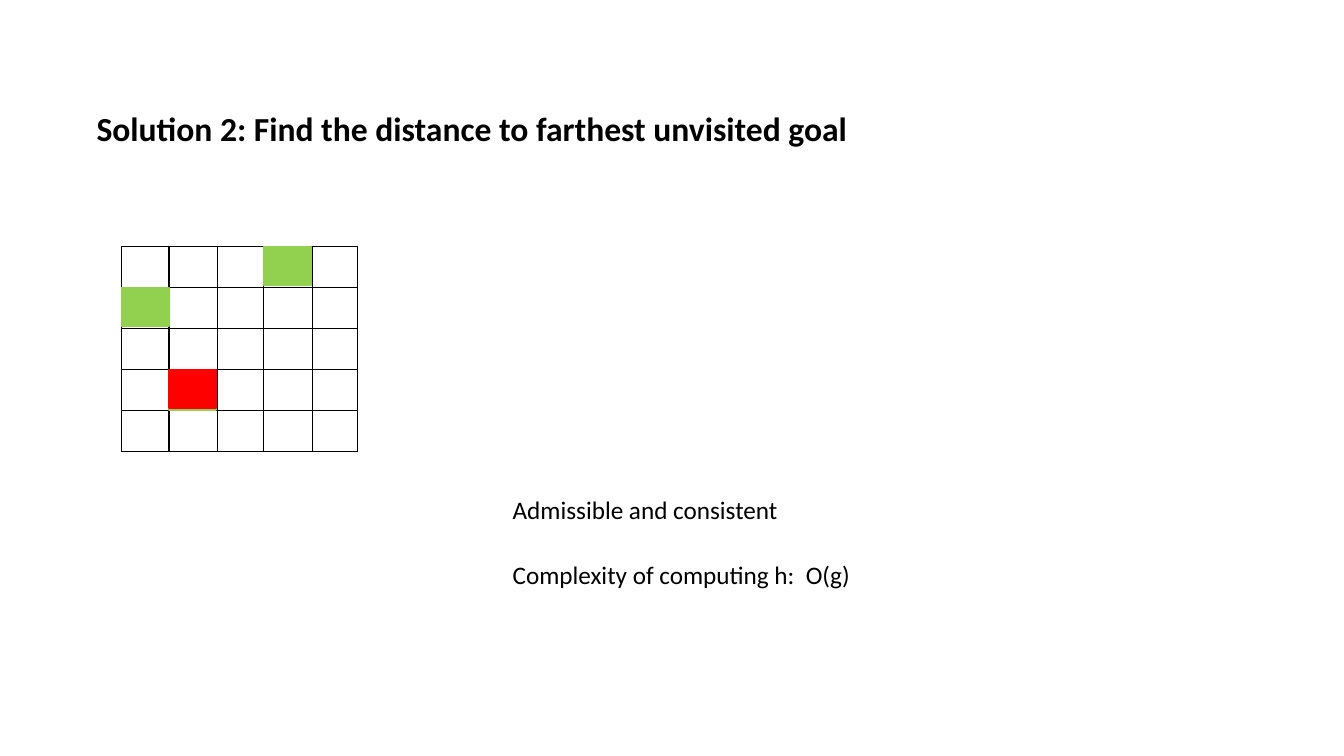
from lxml import etree
from pptx import Presentation
from pptx.dml.color import RGBColor
from pptx.enum.shapes import MSO_SHAPE
from pptx.enum.text import MSO_ANCHOR, MSO_AUTO_SIZE, PP_ALIGN
from pptx.oxml.ns import qn
from pptx.util import Cm, Pt

RECT = MSO_SHAPE.RECTANGLE
TOP = MSO_ANCHOR.TOP
LEFT = PP_ALIGN.LEFT
FIT_SHAPE = MSO_AUTO_SIZE.SHAPE_TO_FIT_TEXT

BLACK = RGBColor(0x00, 0x00, 0x00)
GREEN = RGBColor(0x92, 0xD0, 0x50)
RED = RGBColor(0xFF, 0x00, 0x00)

TITLE_FONT = {"name": "Calibri", "size": Pt(24), "bold": True}
BODY_FONT = {"name": "Calibri", "size": Pt(18), "bold": False}

# Maze grid, in centimetres
COL_WIDTHS = [1.19, 1.22, 1.17, 1.22, 1.14]
ROW_HEIGHT = 1.03
ROWS = 5
MARK_W, MARK_H = 1.19, 0.97
# Row, column, colour and downward shift of each marked cell
MARKS = [
    (1, 0, GREEN, 0),
    (3, 1, GREEN, 0.05),
    (0, 3, GREEN, 0),
    (3, 1, RED, 0),
]


def write_line(sp, text, font):
    tf = sp.text_frame
    tf.word_wrap = True
    tf.auto_size = FIT_SHAPE
    tf.vertical_anchor = TOP
    p = tf.paragraphs[0]
    p.alignment = LEFT
    r = p.add_run()
    r.text = text
    for name, value in font.items():
        setattr(r.font, name, value)
    r.font.color.rgb = BLACK


def add_title(s, x, y, w, h):
    sp = s.shapes.title
    sp.left, sp.top, sp.width, sp.height = Cm(x), Cm(y), Cm(w), Cm(h)
    write_line(sp, "Solution 2: Find the distance to farthest unvisited goal",
               TITLE_FONT)


def add_statement(s, x, y, w, h, text):
    sp = s.shapes.add_textbox(Cm(x), Cm(y), Cm(w), Cm(h))
    write_line(sp, text, BODY_FONT)


def set_borders(cell):
    tc_pr = cell._tc.get_or_add_tcPr()
    for side in ("a:lnL", "a:lnR", "a:lnT", "a:lnB"):
        ln = etree.SubElement(tc_pr, qn(side), w=str(Pt(1)))
        fill = etree.SubElement(ln, qn("a:solidFill"))
        etree.SubElement(fill, qn("a:srgbClr"), val=str(BLACK))


def add_maze(s, x, y):
    # Empty grid
    frame = s.shapes.add_table(ROWS, len(COL_WIDTHS), Cm(x), Cm(y),
                               Cm(sum(COL_WIDTHS)), Cm(ROWS * ROW_HEIGHT))
    table = frame.table
    table.first_row = table.horz_banding = False
    for column, width in zip(table.columns, COL_WIDTHS):
        column.width = Cm(width)
    for row in table.rows:
        row.height = Cm(ROW_HEIGHT)
    for cell in table.iter_cells():
        cell.margin_top = cell.margin_bottom = 0
        set_borders(cell)
        cell.fill.background()

    # Goals in green, current position in red
    for row, col, color, shift in MARKS:
        sp = s.shapes.add_shape(RECT, Cm(x + sum(COL_WIDTHS[:col])),
                                Cm(y + row * ROW_HEIGHT + shift),
                                Cm(MARK_W), Cm(MARK_H))
        sp.shadow.inherit = False
        sp.fill.solid()
        sp.fill.fore_color.rgb = color
        sp.line.color.rgb = color
        sp.line.width = Pt(1)


def main():
    prs = Presentation()
    prs.slide_width, prs.slide_height = Cm(33.87), Cm(19.05)
    s = prs.slides.add_slide(prs.slide_layouts[5])
    add_title(s, 2.18, 2.59, 21.26, 1.28)
    add_maze(s, 3.07, 6.22)
    add_statement(s, 12.67, 12.34, 14.96, 1.02, "Admissible and consistent")
    add_statement(s, 12.67, 13.97, 10.64, 1.02,
                  "Complexity of computing h:  O(g)")
    prs.save("out.pptx")


if __name__ == "__main__":
    main()
